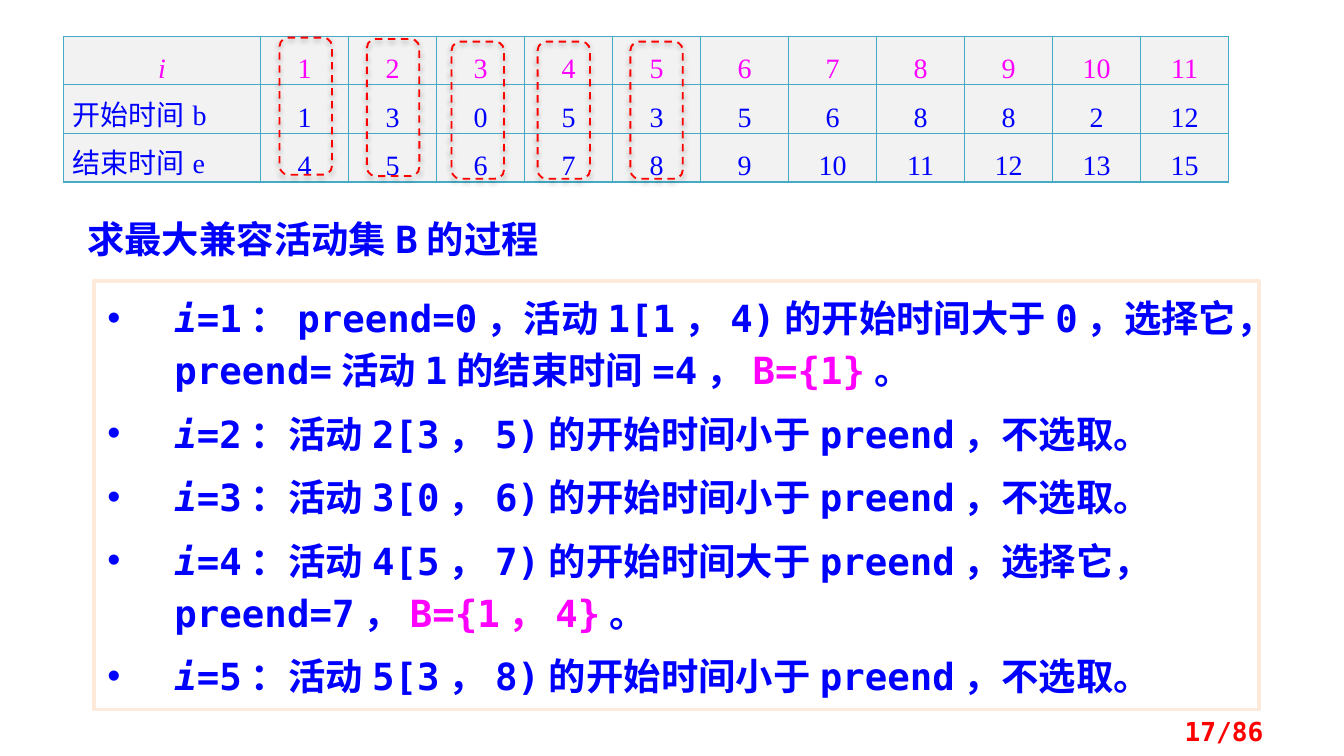
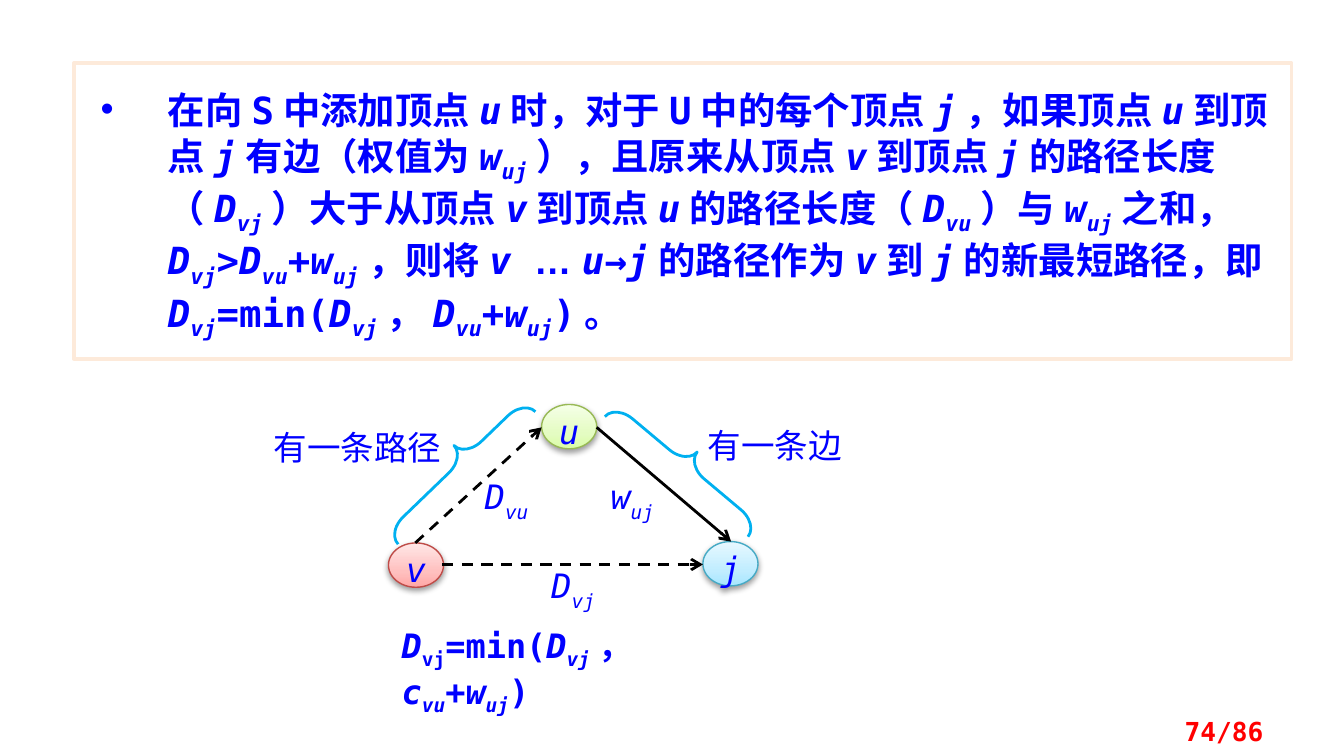
from lxml.etree import SubElement
from pptx import Presentation
from pptx.dml.color import RGBColor
from pptx.enum.dml import MSO_LINE
from pptx.enum.shapes import MSO_CONNECTOR, MSO_SHAPE
from pptx.enum.text import MSO_ANCHOR as Anchor, PP_ALIGN as Align
from pptx.oxml import parse_xml
from pptx.oxml.ns import nsdecls, qn
from pptx.util import Inches, Pt

BLUE = RGBColor(0x00, 0x00, 0xFF)
PINK = RGBColor(0xFF, 0x00, 0xFF)
RED = RGBColor(0xFF, 0x00, 0x00)
BLACK = RGBColor(0x00, 0x00, 0x00)
WHITE = RGBColor(0xFF, 0xFF, 0xFF)
GRAY = RGBColor(0xF2, 0xF2, 0xF2)
PEACH = RGBColor(0xFD, 0xEA, 0xDA)
TEAL = RGBColor(0x46, 0xAA, 0xC5)
CRIMSON = RGBColor(0xBF, 0x4C, 0x48)
OLIVE = RGBColor(0x98, 0xB9, 0x55)
SKY = RGBColor(0x00, 0xB0, 0xF0)
MONO = "DejaVu Sans Mono"
SERIF = "Times New Roman"
CELL = Inches(0.1)


def grid(*cells):
    return [round(cell * CELL) for cell in cells]


# Marks: * italic, _ subscript, # pink, ~ Arial
def write(frame, lines, size, color=BLUE, bold=False, align=None, name=MONO,
          spacing=None, bullet=False, subscript=-25, wrap=True):
    frame.word_wrap = wrap
    for index, line in enumerate(lines):
        paragraph = frame.add_paragraph() if index else frame.paragraphs[0]
        paragraph.alignment = align
        if spacing:
            paragraph.line_spacing = Pt(spacing)
        if index:
            paragraph.space_before = Pt(6)
        if bullet:
            properties = paragraph._p.get_or_add_pPr()
            properties.set("marL", str(Inches(0.5)))
            properties.set("indent", str(-Inches(0.5)))
            SubElement(properties, qn("a:buFont"), typeface="Arial")
            SubElement(properties, qn("a:buChar"), char="•")
        font = paragraph.font
        font.name, font.size, font.bold = name, Pt(size), bold
        font.color.rgb = color
        active, run = set(), None
        for character in line:
            if character in "*_#~":
                active ^= {character}
                run = None
                continue
            if run is None:
                run = paragraph.add_run()
                if "*" in active:
                    run.font.italic = True
                if "#" in active:
                    run.font.color.rgb = PINK
                if "~" in active:
                    run.font.name = "Arial"
                if "_" in active:
                    run._r.get_or_add_rPr().set("baseline", str(subscript * 1000))
            run.text += character


presentation = Presentation()
presentation.slide_width = Inches(10)
presentation.slide_height = presentation.slide_width * 9 // 16

PANELS = [
    ("17/86", (7, 20.9, 86.7, 31.9), (1, 0.5), [
        "*i*=1：preend=0，活动1[1，4)的开始时间大于0，选择它，preend=活动1的结束时间=4，#B={1}#。",
        "*i*=2：活动2[3，5)的开始时间小于preend，不选取。",
        "*i*=3：活动3[0，6)的开始时间小于preend，不选取。",
        "*i*=4：活动4[5，7)的开始时间大于preend，选择它，preend=7，#B={1，4}#。",
        "*i*=5：活动5[3，8)的开始时间小于preend，不选取。",
    ]),
    ("74/86", (5.5, 4.7, 90.6, 22), (2, 1.2), [
        "在向S中添加顶点*u*时，对于U中的每个顶点*j*，如果顶点*u*到顶点*j*有边"
        "（权值为*w_uj_*），且原来从顶点*v*到顶点*j*的路径长度（*D_vj_*）大于从顶点"
        "*v*到顶点*u*的路径长度（*D_vu_*）与*w_uj_*之和，*D_vj_*>*D_vu_*+*w_uj_*，"
        "则将*v *~… ~*u*→*j*的路径作为*v*到*j*的新最短路径，即"
        "*D_vj_*=min(*D_vj_*，*D_vu_*+*w_uj_*)。",
    ]),
]
slides = []
for number, area, (left_inset, top_inset), lines in PANELS:
    slide = presentation.slides.add_slide(presentation.slide_layouts[6])
    slides.append(slide)
    panel = slide.shapes.add_shape(MSO_SHAPE.RECTANGLE, *grid(*area))
    panel.shadow.inherit = False
    panel.fill.solid()
    panel.fill.fore_color.rgb = WHITE
    panel.line.color.rgb = PEACH
    panel.line.width = Pt(2)
    frame = panel.text_frame
    frame.vertical_anchor = Anchor.TOP
    frame.margin_left, frame.margin_right = grid(left_inset, 1)
    frame.margin_top = frame.margin_bottom = grid(top_inset)[0]
    write(frame, lines, 20, bold=True, align=Align.LEFT, spacing=28, bullet=True)
    page = slide.shapes.add_textbox(*grid(71.7, 52.9, 23.3, 3))
    page.text_frame.vertical_anchor = Anchor.MIDDLE
    write(page.text_frame, [number], 14, RED, True, Align.RIGHT)
activity_slide, path_slide = slides

ROWS = [
    ["*i*", *range(1, 12)],
    ["开始时间b", 1, 3, 0, 5, 3, 5, 6, 8, 8, 2, 12],
    ["结束时间e", 4, 5, 6, 7, 8, 9, 10, 11, 12, 13, 15],
]
table = activity_slide.shapes.add_table(3, 12, *grid(4.7, 2.7, 86.7, 10.8)).table
table.first_row = table.horz_banding = False
for index, column in enumerate(table.columns):
    column.width = grid(6.55 if index else 14.7)[0]
for row_index, values in enumerate(ROWS):
    table.rows[row_index].height = grid(3.6)[0]
    for column_index, value in enumerate(values):
        cell = table.cell(row_index, column_index)
        cell.margin_left = cell.margin_right = grid(0.7)[0]
        cell.margin_top = cell.margin_bottom = 0
        properties = cell._tc.get_or_add_tcPr()
        for side in ("lnL", "lnR", "lnT", "lnB"):
            border = SubElement(properties, qn(f"a:{side}"), w=str(Pt(0.75)))
            fill = SubElement(border, qn("a:solidFill"))
            SubElement(fill, qn("a:srgbClr"), val=str(TEAL))
        cell.fill.solid()
        cell.fill.fore_color.rgb = GRAY
        is_label = row_index and not column_index
        write(cell.text_frame, [str(value)], 15, BLUE if row_index else PINK,
              align=Align.JUSTIFY if is_label else Align.CENTER, name=SERIF, spacing=26)

heading = activity_slide.shapes.add_textbox(*grid(5.5, 15.6, 57.8, 4.4))
write(heading.text_frame, ["求最大兼容活动集B的过程"], 20, bold=True)

shadowed = []
for left, top in [(20.8, 2.8), (27.3, 2.9), (33.6, 3.1), (40, 3.1), (46.9, 3.1)]:
    marker = activity_slide.shapes.add_shape(MSO_SHAPE.ROUNDED_RECTANGLE, *grid(left, top, 3.9, 10.2))
    marker.fill.background()
    marker.line.color.rgb = RED
    marker.line.width = Pt(1)
    marker.line.dash_style = MSO_LINE.DASH
    shadowed.append(marker)

VERTICES = [
    ("v", 28.9, 40.4, CRIMSON, ("FFA6A5", "FFC0BF", "FFE7E7")),
    ("j", 52.3, 40.3, TEAL, ("A7E6FF", "C1EDFF", "E7F8FF")),
    ("u", 40.3, 30.1, OLIVE, ("DAFDA7", "E4FCC2", "F5FFE7")),
]
for name, left, top, outline, colors in VERTICES:
    vertex = path_slide.shapes.add_shape(MSO_SHAPE.OVAL, *grid(left, top, 4.1, 3.3))
    vertex.line.color.rgb = outline
    vertex.line.width = Pt(0.75)
    vertex.fill.background()
    stops = "".join(f'<a:gs pos="{share * 1000}"><a:srgbClr val="{color}"/></a:gs>'
                    for share, color in zip((0, 35, 100), colors))
    gradient = parse_xml(f'<a:gradFill {nsdecls("a")}><a:gsLst>{stops}</a:gsLst>'
                         '<a:lin ang="16200000" scaled="0"/></a:gradFill>')
    properties = vertex._element.spPr
    properties.replace(properties.find(qn("a:noFill")), gradient)
    frame = vertex.text_frame
    frame.margin_left = frame.margin_right = frame.margin_top = frame.margin_bottom = 0
    frame.vertical_anchor = Anchor.TOP
    write(frame, [f"*{name}*"], 18, align=Align.CENTER)
    shadowed.append(vertex)

for shape in shadowed:
    shape.shadow.inherit = False
    effects = shape._element.spPr.find(qn("a:effectLst"))
    shadow = SubElement(effects, qn("a:outerShdw"), blurRad="40000", dist="20000",
                        dir="5400000", rotWithShape="0")
    shade = SubElement(shadow, qn("a:srgbClr"), val=str(BLACK))
    SubElement(shade, qn("a:alpha"), val="38000")

LABELS = [
    ("*D_vu_*", 35.9, 35.4, 3.6, 2),
    ("*w_uj_*", 44.7, 35.4, 4.7, 2.4),
    ("*D_vj_*", 40.6, 42, 4.1, 2.5),
    ("有一条边", 51.4, 31.6, 12.5, 2.5),
    ("有一条路径", 20.3, 31.8, 12.6, 2.5),
]
for text, *area in LABELS:
    frame = path_slide.shapes.add_textbox(*grid(*area)).text_frame
    frame.margin_left = frame.margin_right = frame.margin_top = frame.margin_bottom = 0
    write(frame, [text], 18, align=Align.CENTER, subscript=-30, wrap=False)

EDGES = [
    ((30.9, 40.4, 40.3, 31.8), True),
    ((32.9, 42, 52.3, 42), True),
    ((44.4, 31.8, 54.4, 40.3), False),
]
for ends, dashed in EDGES:
    edge = path_slide.shapes.add_connector(MSO_CONNECTOR.STRAIGHT, *grid(*ends))
    edge.line.color.rgb = BLACK
    edge.line.width = Pt(1.5)
    if dashed:
        edge.line.dash_style = MSO_LINE.DASH
    SubElement(edge.line._get_or_add_ln(), qn("a:tailEnd"), type="arrow")
    SubElement(edge._element.spPr, qn("a:effectLst"))

BRACES = [
    ((32.7, 27.6, 2.4, 14.2), 46, 0.7, 0.43),
    ((49.9, 27.6, 2.4, 13.9), 130, 0.7, 0.5),
]
for area, rotation, curve, point in BRACES:
    brace = path_slide.shapes.add_shape(MSO_SHAPE.LEFT_BRACE, *grid(*area))
    brace.shadow.inherit = False
    brace.rotation = rotation
    brace.adjustments[0], brace.adjustments[1] = curve, point
    brace.fill.background()
    brace.line.color.rgb = SKY
    brace.line.width = Pt(1.5)

formula = path_slide.shapes.add_textbox(*grid(28.9, 46, 28.9, 4))
write(formula.text_frame, ["*D*_vj_=min(*D_vj_*，*c_vu_*+*w_uj_*)"], 18, bold=True)

presentation.save("out.pptx")
